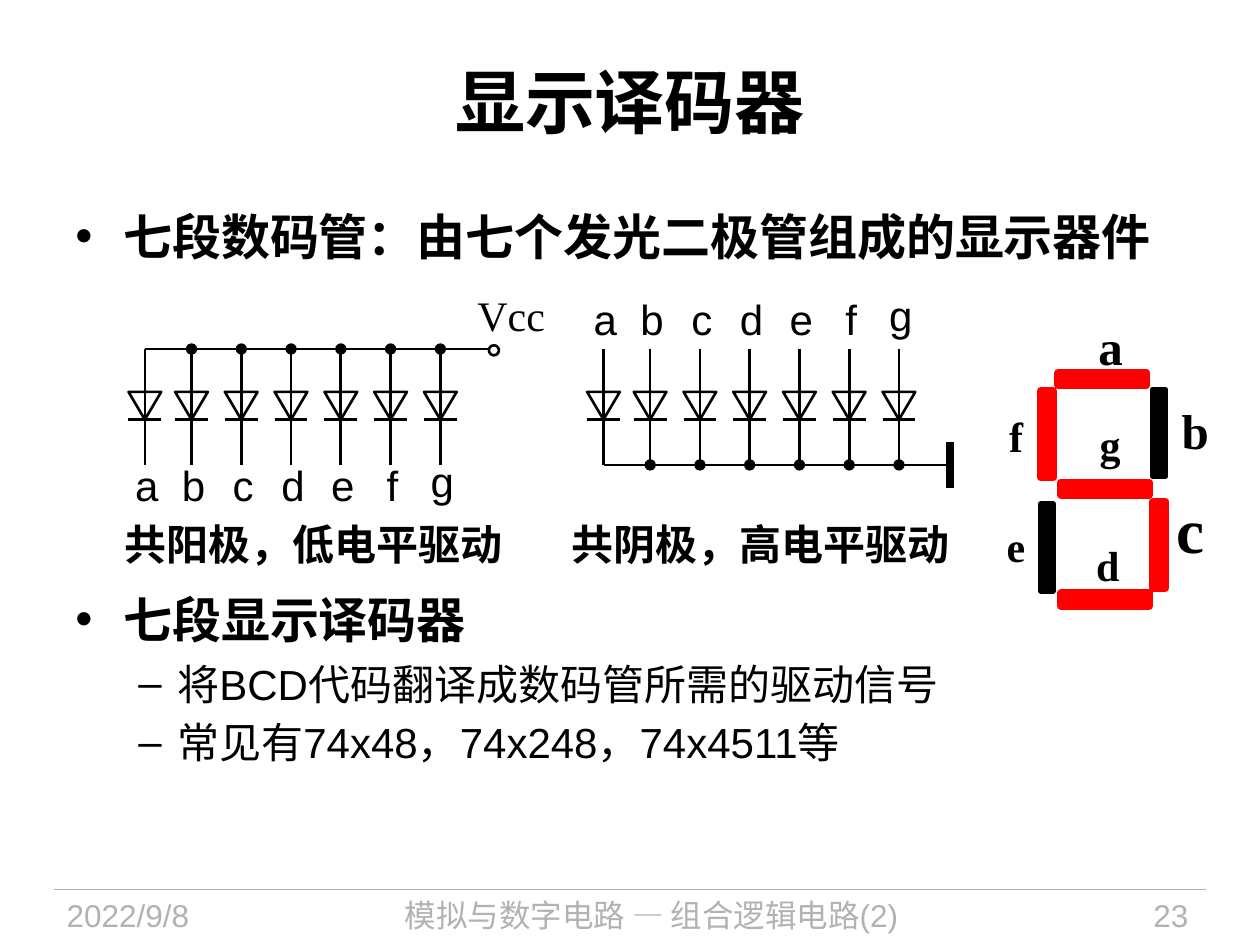
from dataclasses import dataclass
from lxml.etree import SubElement as Sub
from pptx import Presentation as Deck
from pptx.dml.color import RGBColor as Rgb
from pptx.enum.shapes import MSO_CONNECTOR as Link, MSO_SHAPE as Kind
from pptx.enum.text import MSO_ANCHOR as Anchor, PP_ALIGN as Align
from pptx.oxml.ns import qn
from pptx.util import Inches, Pt


@dataclass(frozen=True)
class Theme:
    sans: str = "Arial"
    serif: str = "Times New Roman"
    ink: str = "000000"
    gray: str = "B2B2B2"
    lit: str = "FF0000"
    title: int = 40
    huge: int = 36
    head: int = 28
    body: int = 24
    foot: int = 18
    wire: float = 1.5
    thin: float = 0.75
    thick: float = 4.5
    edge: float = 3


class Pen:
    def __init__(self, slide, theme):
        self.slide = slide
        self.theme = theme

    def line(self, x1, y1, x2, y2, width=None, color=None):
        wire = self.slide.shapes.add_connector(
            Link.STRAIGHT, Inches(x1), Inches(y1), Inches(x2), Inches(y2))
        wire.line.color.rgb = Rgb.from_string(color or self.theme.ink)
        wire.line.width = Pt(width or self.theme.wire)
        Sub(wire._element.spPr, qn("a:effectLst"))

    def shape(self, kind, x, y, w, h, width, fill=None, color=None):
        item = self.slide.shapes.add_shape(
            kind, Inches(x), Inches(y), Inches(w), Inches(h))
        item.shadow.inherit = False
        if fill:
            item.fill.solid()
            item.fill.fore_color.rgb = Rgb.from_string(fill)
        else:
            item.fill.background()
        item.line.color.rgb = Rgb.from_string(color or fill or self.theme.ink)
        item.line.width = Pt(width)

    def box(self, x, y, w, h, wrap=True, anchor=Anchor.TOP):
        frame = self.slide.shapes.add_textbox(
            Inches(x), Inches(y), Inches(w), Inches(h)).text_frame
        frame.word_wrap = wrap
        frame.vertical_anchor = anchor
        return frame

    def run(self, para, words, size, bold=False, face=None, color=None):
        part = para.add_run()
        part.text = words
        part.font.size = Pt(size)
        part.font.bold = bold
        part.font.name = face or self.theme.sans
        part.font.color.rgb = Rgb.from_string(color or self.theme.ink)

    def label(self, words, x, y, w, h, size, align=Align.LEFT, wrap=True,
              anchor=Anchor.TOP, **style):
        para = self.box(x, y, w, h, wrap, anchor).paragraphs[0]
        para.alignment = align
        self.run(para, words, size, **style)

    def list(self, x, y, w, h, items):
        frame = self.box(x, y, w, h)
        for n, (level, words) in enumerate(items):
            para = frame.add_paragraph() if n else frame.paragraphs[0]
            mark, left, hang, size = (
                ("–", 0.81, 0.31, self.theme.body) if level
                else ("•", 0.38, 0.38, self.theme.head))
            para.level = level
            para.space_after = Pt(size * 0.2)
            props = para._p.get_or_add_pPr()
            props.set("marL", str(Inches(left)))
            props.set("indent", str(-Inches(hang)))
            Sub(props, qn("a:buFont"), typeface=self.theme.sans)
            Sub(props, qn("a:buChar"), char=mark)
            self.run(para, words, size, bold=level == 0)

    def dot(self, x, y, solid=True):
        t = self.theme
        self.shape(Kind.OVAL, x - 0.04, y - 0.04, 0.08, 0.08,
                   t.thin if solid else t.wire, t.ink if solid else None)

    def diode(self, x):
        self.line(x, TOP, x, LOW)
        self.shape(Kind.FLOWCHART_MERGE, x - 0.13, 3.11, 0.26, 0.22,
                   self.theme.wire)
        self.line(x - 0.13, 3.33, x + 0.13, 3.33)

    def array(self, left, bus, text):
        self.line(left, bus, left + 2.73, bus)
        for n, name in enumerate("abcdefg"):
            x = left + (0.37 + 0.395 * (n - 1) if n else 0)
            self.diode(x)
            if n:
                self.dot(x, bus)
            lift = 0.03 if name == "g" else 0
            self.label(name, x - 0.18, text - lift, 0.39, 0.5,
                       self.theme.body, Align.CENTER)


TOP, LOW = 2.77, 3.69


def main():
    deck = Deck()
    deck.slide_width, deck.slide_height = Inches(10), Inches(7.5)
    t = Theme()
    pen = Pen(deck.slides.add_slide(deck.slide_layouts[6]), t)

    pen.line(0.43, 7.06, 9.57, 7.06, t.thin, t.gray)
    for words, x, w, align in (
            ("2022/9/8", 0.43, 1.88, Align.LEFT),
            ("模拟与数字电路 — 组合逻辑电路(2)", 2.49, 5.36, Align.CENTER),
            ("23", 8.2, 1.33, Align.RIGHT)):
        pen.label(words, x, 7.06, w, 0.44, t.foot, align, color=t.gray)

    pen.label("显示译码器", 0.5, 0.17, 9, 1.25, t.title, Align.CENTER,
              anchor=Anchor.MIDDLE, bold=True)
    pen.list(0.5, 1.59, 9, 0.6, [(0, "七段数码管：由七个发光二极管组成的显示器件")])
    pen.list(0.5, 4.63, 9, 2.2, [
        (0, "七段显示译码器"),
        (1, "将BCD代码翻译成数码管所需的驱动信号"),
        (1, "常见有74x48，74x248，74x4511等")])

    pen.array(1.15, TOP, 3.6)
    pen.dot(3.92, TOP + 0.01, solid=False)
    pen.label("Vcc", 3.69, 2.25, 0.74, 0.5, t.body, wrap=False, face=t.serif)
    pen.array(4.79, LOW, 2.28)
    pen.line(7.54, 3.51, 7.54, 3.87, t.thick)
    for words, x in (("共阳极，低电平驱动", 0.89), ("共阴极，高电平驱动", 4.44)):
        pen.label(words, x, 4.07, 3.35, 0.5, t.body, bold=True)

    long, slim = 0.7, 0.1
    bars = {"b": (9.15, 3.09), "e": (8.26, 4.0), "f": (8.26, 3.1),
            "a": (8.4, 2.96), "g": (8.42, 3.83), "c": (9.15, 3.98),
            "d": (8.42, 4.71)}
    for name, (x, y) in bars.items():
        w, h = (long, slim) if name in "agd" else (slim, long - 0.01)
        dark = name in "be"
        pen.shape(Kind.RECTANGLE, x, y, w, h, t.edge if dark else t.thick,
                  t.ink if dark else t.lit)
    for name, x, y, w, size in (
            ("a", 8.62, 2.46, 0.27, t.head), ("b", 9.28, 3.13, 0.37, t.head),
            ("c", 9.24, 3.84, 0.33, t.huge), ("d", 8.6, 4.23, 0.32, t.body),
            ("e", 7.89, 4.08, 0.23, t.body), ("f", 7.91, 3.21, 0.31, t.body),
            ("g", 8.63, 3.27, 0.27, t.body)):
        pen.label(name, x, y, w, size / 50, size, bold=True, face=t.serif)

    deck.save("out.pptx")


if __name__ == "__main__":
    main()
